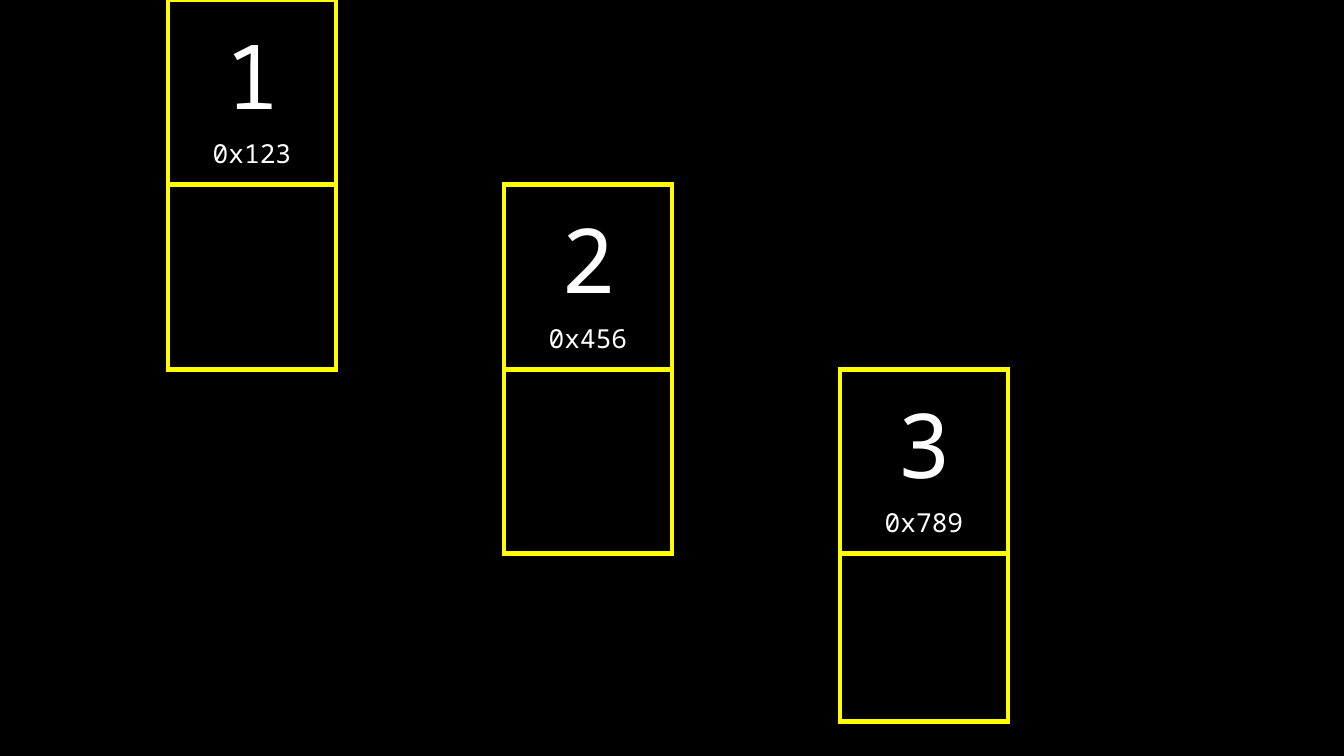
from lxml.etree import SubElement
from pptx import Presentation
from pptx.dml.color import RGBColor
from pptx.enum.text import MSO_ANCHOR, PP_ALIGN
from pptx.oxml.ns import qn
from pptx.util import Inches, Pt

ROWS, COLUMNS, CELL_SIZE = 5, 8, 1.25
BACKGROUND, BORDER, TEXT = "000000", "FFFF00", "FFFFFF"
NODES = {(0, 1): ("1", "0x123"), (1, 3): ("2", "0x456"), (2, 5): ("3", "0x789")}
BOXES = {(row + step, column) for row, column in NODES for step in (0, 1)}
SIDES = {"L": (0, -1), "R": (0, 1), "T": (-1, 0), "B": (1, 0)}
SLIDE_FORMAT = {"slide_width": Inches(10), "slide_height": Inches(10 * 9 / 16)}
FRAME_FORMAT = {"width": Inches(3.28), "height": Inches(3.28)}
TABLE_FORMAT = {"first_row": False, "horz_banding": False}
CELL_FORMAT = {
    "vertical_anchor": MSO_ANCHOR.MIDDLE,
    "margin_left": Inches(0.1),
    "margin_right": Inches(0.1),
    "margin_top": Inches(0.1),
    "margin_bottom": Inches(0.1),
}
FONT_FORMAT = {"name": "Noto Sans Mono", "bold": False}


def color(value):
    return RGBColor.from_string(value)


def apply_format(target, values):
    for name, value in values.items():
        setattr(target, name, value)


def set_borders(cell, row, column):
    properties = cell._tc.get_or_add_tcPr()
    for side, (down, right) in SIDES.items():
        line = SubElement(properties, qn(f"a:ln{side}"), w=str(Pt(3)))
        if BOXES & {(row, column), (row + down, column + right)}:
            fill = SubElement(line, qn("a:solidFill"))
            SubElement(fill, qn("a:srgbClr"), val=str(color(BORDER)))
        else:
            SubElement(line, qn("a:noFill"))


def write_node(cell, value, address):
    text_frame = cell.text_frame
    text_frame.text = f"{value}\n{address}"
    for paragraph, size in zip(text_frame.paragraphs, (48, 14)):
        paragraph.alignment = PP_ALIGN.CENTER
        font = paragraph.runs[0].font
        apply_format(font, {**FONT_FORMAT, "size": Pt(size)})
        font.color.rgb = color(TEXT)


def add_memory_grid(slide):
    frame = slide.shapes.add_table(
        ROWS, COLUMNS, 0, 0,
        Inches(COLUMNS * CELL_SIZE), Inches(ROWS * CELL_SIZE),
    )
    table = frame.table
    apply_format(table, TABLE_FORMAT)
    for row in range(ROWS):
        for column in range(COLUMNS):
            cell = table.cell(row, column)
            apply_format(cell, CELL_FORMAT)
            set_borders(cell, row, column)
            cell.fill.background()
            if (row, column) in NODES:
                write_node(cell, *NODES[row, column])
    apply_format(frame, FRAME_FORMAT)


def main():
    presentation = Presentation()
    apply_format(presentation, SLIDE_FORMAT)
    slide = presentation.slides.add_slide(presentation.slide_layouts[6])
    fill = slide.background.fill
    fill.solid()
    fill.fore_color.rgb = color(BACKGROUND)
    add_memory_grid(slide)
    presentation.save("out.pptx")


if __name__ == "__main__":
    main()
